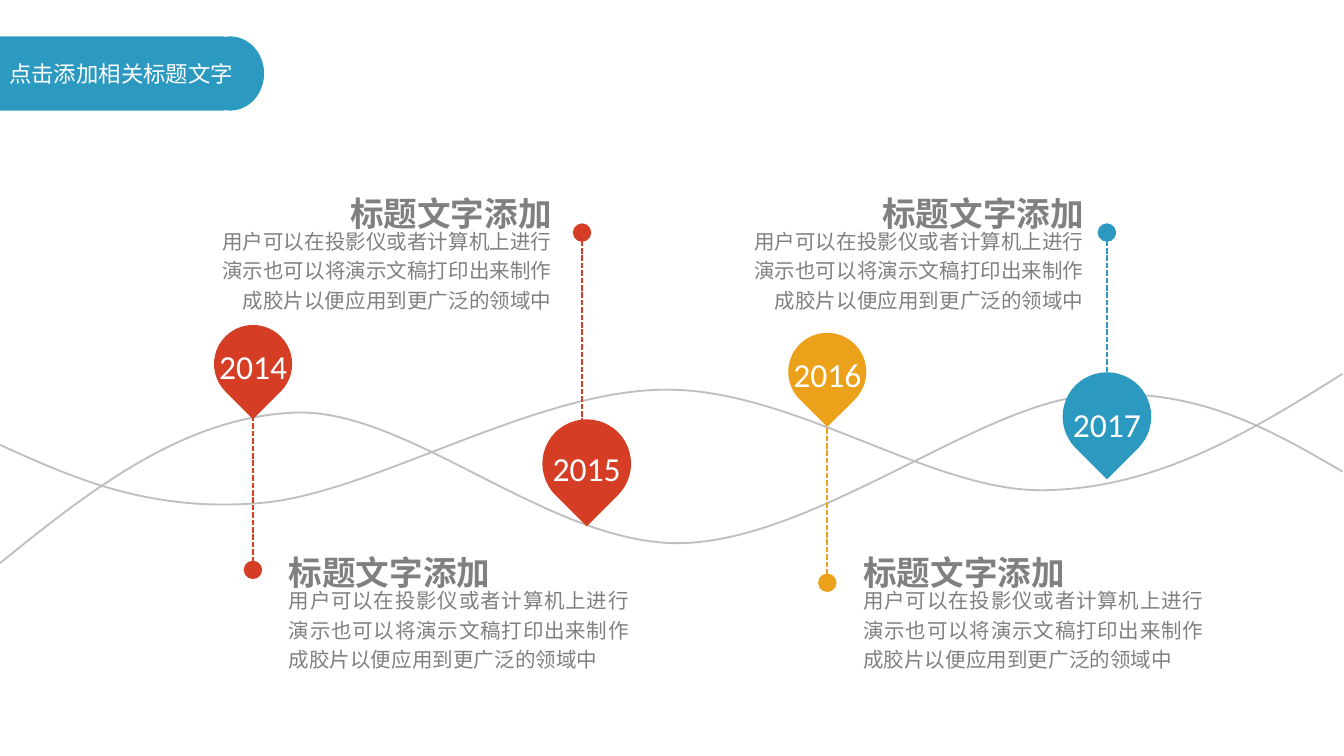
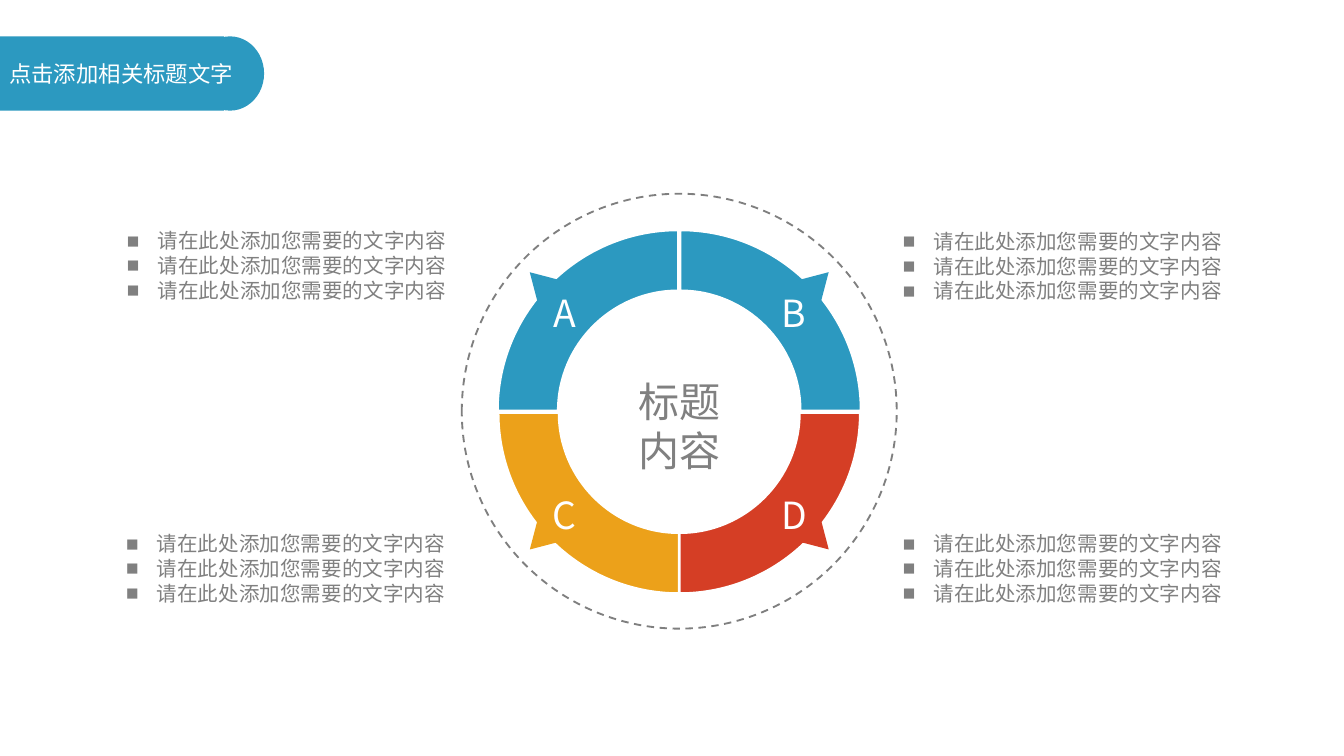
from dataclasses import dataclass

from lxml import etree
from pptx import Presentation
from pptx import util as u
from pptx.dml.color import RGBColor
from pptx.enum import dml, shapes, text
from pptx.oxml.ns import qn

Pt = u.Pt
Kind = shapes.MSO_SHAPE
Align = text.PP_ALIGN


@dataclass(frozen=True)
class Theme:
    blue: str = "2C99C0"
    red: str = "D53E25"
    gold: str = "ECA11A"
    white: str = "FFFFFF"
    gray: str = "808080"
    pale: str = "BFBFBF"
    ring: str = "7F7F7F"
    latin: str = "Calibri"
    asian: str = "Noto Sans CJK SC"
    small: float = 11
    band: float = 12
    head: float = 18
    mark: float = 20
    core: float = 22


T = Theme()
WIDE = (7.2, 3.6, 7.2, 3.6)
SLIM = (5.6, 2.8, 5.6, 2.8)


def tint(hue):
    return RGBColor.from_string(hue)


def paint(shape, fill=None, line=None, dash=None):
    shape.shadow.inherit = False
    if fill:
        shape.fill.solid()
        shape.fill.fore_color.rgb = tint(fill)
    else:
        shape.fill.background()
    if line:
        shape.line.color.rgb = tint(line)
        shape.line.width = Pt(1)
        shape.line.dash_style = dash
    else:
        shape.line.fill.background()


def add(slide, kind, box, fill=None, line=None, dash=None, turn=0):
    shape = slide.shapes.add_shape(kind, *map(Pt, box))
    shape.rotation = turn
    paint(shape, fill, line, dash)
    return shape


def trace(slide, start, steps, close=False, box=None):
    """Draw an outline; a step of one point is a line, of three a cubic curve.

    The frame is the given box, or else the extent of the end points.
    """
    pen = slide.shapes.build_freeform(*map(Pt, start))
    pen.add_line_segments([tuple(map(Pt, step[-1])) for step in steps], close=close)
    shape = pen.convert_to_shape()
    if box:
        shape.left, shape.top, shape.width, shape.height = map(Pt, box)
    route = next(shape._element.iter(qn("a:path")))
    route.set("w", str(shape.width))
    route.set("h", str(shape.height))

    def fit(node, dots):
        for old in list(node):
            node.remove(old)
        for x, y in dots:
            etree.SubElement(node, qn("a:pt"), x=str(Pt(x) - shape.left),
                             y=str(Pt(y) - shape.top))

    fit(route.find(qn("a:moveTo")), [start])
    for node, step in zip(route.findall(qn("a:lnTo")), steps):
        if len(step) == 3:
            curve = etree.Element(qn("a:cubicBezTo"))
            route.replace(node, curve)
            node = curve
        fit(node, step)
    return shape


def write(frame, lines, size, hue, face=T.asian, align=Align.LEFT,
          bold=False, pad=WIDE, gap=None, mark=None):
    frame.margin_left, frame.margin_top, frame.margin_right, frame.margin_bottom = map(Pt, pad)
    for i, line in enumerate(lines):
        para = frame.paragraphs[0] if i == 0 else frame.add_paragraph()
        para.text = line
        para.alignment = align
        if gap:
            para.line_spacing = gap
        props = para._p.get_or_add_pPr()
        if mark:
            props.set("marL", str(Pt(16.5)))
            props.set("indent", str(-Pt(16.5)))
            etree.SubElement(props, qn("a:buSzPct"), val="65000")
            etree.SubElement(props, qn("a:buFont"), typeface=T.latin)
            etree.SubElement(props, qn("a:buChar"), char=mark)
        font = para.font
        font.size, font.bold, font.name = Pt(size), bold, face
        font.color.rgb = tint(hue)
        etree.SubElement(props.find(qn("a:defRPr")), qn("a:ea"), typeface=T.asian)


def label(slide, box, lines, size, hue, wrap=True, **style):
    frame = slide.shapes.add_textbox(*map(Pt, box)).text_frame
    frame.word_wrap = wrap
    frame.auto_size = text.MSO_AUTO_SIZE.SHAPE_TO_FIT_TEXT
    write(frame, lines, size, hue, **style)


def band(slide, top, high):
    add(slide, Kind.RECTANGLE, (0, top, 120, high), T.blue)
    add(slide, Kind.OVAL, (105, top, 36.5, high), T.blue)
    label(slide, (0, top + 9.6, 141, 19.5), ["点击添加相关标题文字"],
          T.band, T.white, pad=(5, 2.9, 5, 2.9))


def stem(slide, x, top, foot, dot, hue):
    """Draw a dashed upright line with a dot at its head or tail end."""
    line = slide.shapes.add_connector(shapes.MSO_CONNECTOR.STRAIGHT,
                                      Pt(x), Pt(top), Pt(x), Pt(foot))
    line.line.color.rgb = tint(hue)
    line.line.width = Pt(1)
    line.line.dash_style = dml.MSO_LINE.SQUARE_DOT
    props = line._element.spPr
    etree.SubElement(props.find(qn("a:ln")), qn(f"a:{dot}End"),
                     type="oval", w="lg", len="lg")
    etree.SubElement(props, qn("a:effectLst"))


def pin(slide, x, y, size, year, drop, hue):
    add(slide, Kind.TEAR, (x - size / 2, y - size / 2, size, size), hue, turn=135)
    label(slide, (x - 25.5, y + drop - 14.5, 51, 29), [year], T.head, T.white,
          wrap=False, face=T.latin, align=Align.CENTER)


def note(slide, left, top, align):
    wide, head = 196.5, 132.5
    shift = wide - head if align == Align.RIGHT else 0
    style = dict(face=T.latin, align=align, gap=1.2)
    label(slide, (left, top + 21, wide, 55.5),
          ["用户可以在投影仪或者计算机上进行演示也可以将演示文稿打印出来制作成胶片以便应用到更广泛的领域中"],
          T.small, T.gray, **style)
    label(slide, (left + shift, top, head, 31.5), ["标题文字添加"],
          T.head, T.gray, bold=True, **style)


WAVES = (
    [(0, 301.7), (49, 262), (98.6, 223.2), (159, 221), (220.3, 219.6),
     (295.2, 292.3), (365, 291), (435.6, 289.4), (521.3, 219), (580.3, 212.2),
     (639.4, 206), (679.7, 229.7), (719.3, 252.7)],
    [(719.3, 200.2), (670.3, 231), (620.6, 261.4), (560.2, 262.6), (499, 264.2),
     (424, 207), (354.2, 208.8), (283.7, 210.2), (198, 265), (139, 269.5),
     (80, 274.3), (39.6, 256.3), (0, 238.3)],
)
# year, colour, pin x, pin y, pin size, text drop, stem x, top, foot, dot, note left
YEARS = (
    ("2014", T.red, 135.6, 195, 41.8, 1.4, 135.5, 203, 305.3, "tail", 147.6),
    ("2015", T.red, 314.3, 248.4, 47.5, 2.5, 311.8, 124.6, 247, "head", 106.2),
    ("2016", T.gold, 443.2, 199.2, 41.8, 1.4, 443.2, 185.8, 312.2, "tail", 455.4),
    ("2017", T.blue, 593, 223.2, 47.5, 4.3, 593, 124.6, 199.4, "head", 391.3),
)


def timeline(slide):
    for wave in WAVES:
        steps = [wave[i:i + 3] for i in range(1, len(wave), 3)]
        paint(trace(slide, wave[0], steps), line=T.pale)
    for year, hue, x, y, size, drop, mid, top, foot, dot, left in YEARS:
        stem(slide, mid, top, foot, dot, hue)
        pin(slide, x, y, size, year, drop, hue)
        if dot == "tail":
            note(slide, left, 287.8, Align.JUSTIFY)
        else:
            note(slide, left, 95.4, Align.RIGHT)


# letter, colour, side (-1 left, 1 right), level (-1 top, 1 bottom)
PARTS = (("A", T.blue, -1, -1), ("B", T.blue, 1, -1),
         ("C", T.gold, -1, 1), ("D", T.red, 1, 1))


def sector(slide, x, y, letter, hue, side, level):
    """Draw one quarter of the ring around the centre x, y."""
    gap, drop = (0.6, 0.3) if level < 0 else (0.2, 0.9)
    outer, inner = 96.6, 64.4

    def spot(across, down):
        return x + side * (gap + across), y + level * (drop + down)

    def arc(size):
        pull = 0.55 * size
        return [spot(size, 0), spot(size, pull), spot(pull, size), spot(0, size)]

    out, back = arc(outer), arc(inner)[::-1]
    shape = trace(slide, out[0], [out[1:], back[:1], back[1:]], True,
                  (x - 97, y - 97.2, 194, 194.6))
    paint(shape, hue, T.white)
    frame = shape.text_frame
    frame.vertical_anchor = text.MSO_ANCHOR.MIDDLE
    across = (0, 123) if side < 0 else (123, 0)
    down = (2.9, 109) if level < 0 else (111, 0)
    write(frame, [letter], T.mark, T.white, align=Align.CENTER,
          pad=(across[0], down[0], across[1], down[1]))


def wheel(slide, x, y):
    for part in PARTS:
        sector(slide, x, y, *part)
    for _, hue, side, level in PARTS:
        turn = side * (45 if level < 0 else 135)
        add(slide, Kind.ISOSCELES_TRIANGLE,
            (x + side * 74.2 - 9.7, y + level * 68.4 - 8.5, 19.4, 16.6),
            hue, turn=turn % 360)
    add(slide, Kind.OVAL, (x - 116.5, y - 116.5, 233, 233),
        line=T.ring, dash=dml.MSO_LINE.DASH)
    label(slide, (x - 58, y - 21.6, 116, 60.5), ["标题", "内容"], T.core, T.gray,
          align=Align.CENTER, pad=SLIM)


def cycle(slide):
    wheel(slide, 363.9, 220.3)
    for left, top in ((24.4, 119.5), (23.9, 281.8), (440, 281.8), (440, 119.8)):
        label(slide, (left, top, 220.3, 46.8), ["请在此处添加您需要的文字内容"] * 3,
              T.small, T.gray, align=Align.RIGHT, pad=SLIM, mark="■")


def main():
    deck = Presentation()
    deck.slide_width, deck.slide_height = Pt(720), Pt(405)
    for draw in (timeline, cycle):
        slide = deck.slides.add_slide(deck.slide_layouts[6])
        band(slide, 19.5, 39.8)
        draw(slide)
    deck.save("out.pptx")


if __name__ == "__main__":
    main()
